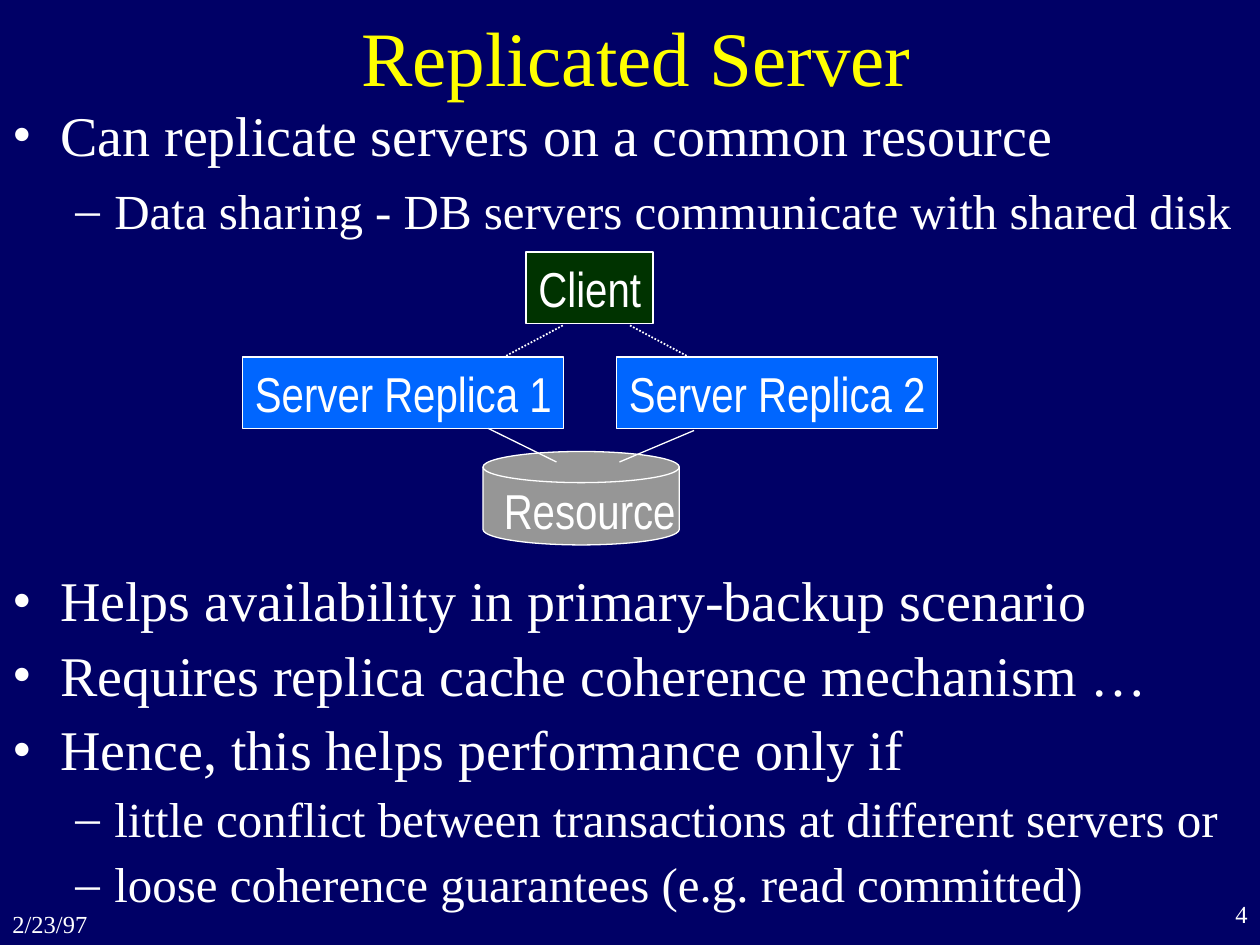
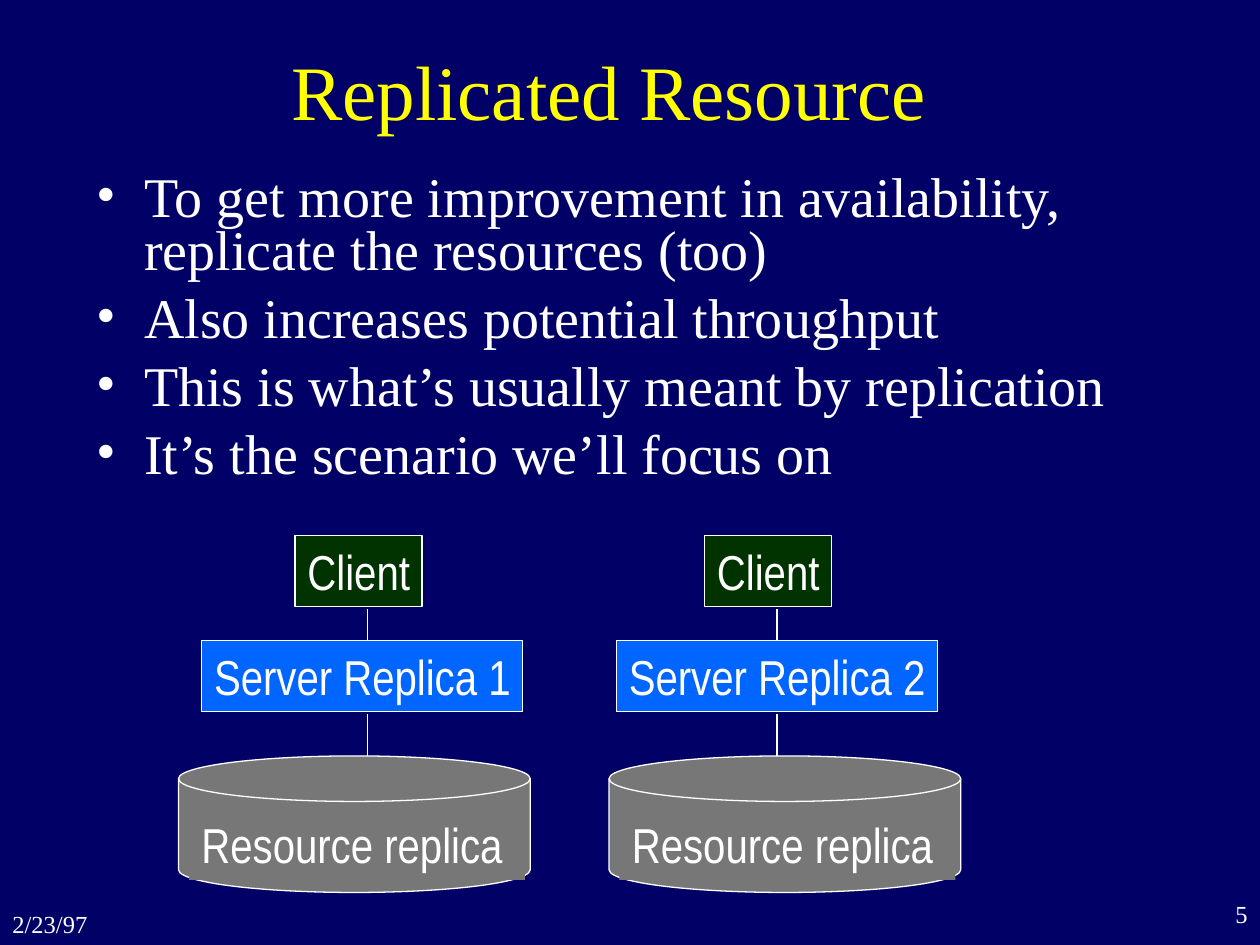
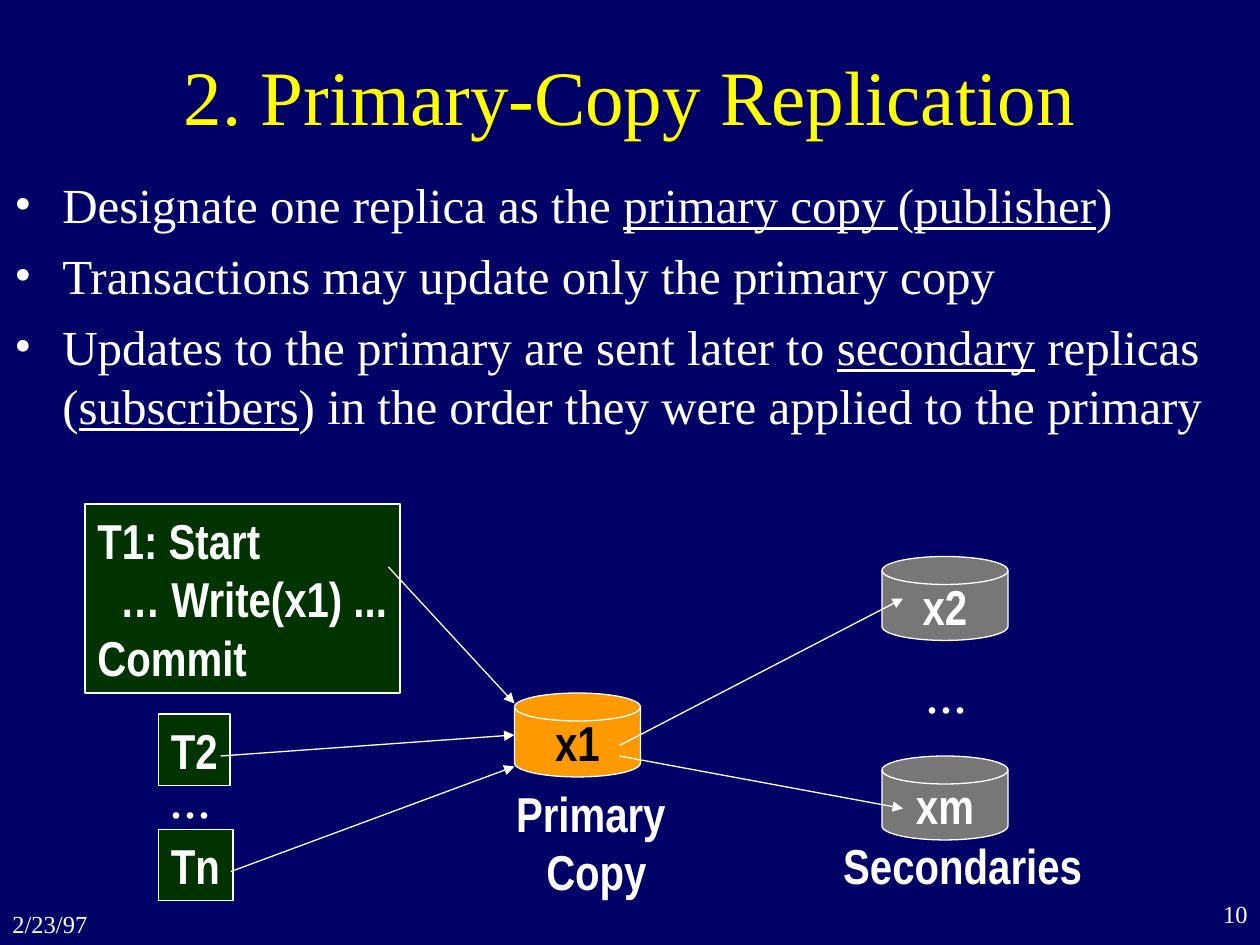
from dataclasses import dataclass
from typing import NamedTuple

from lxml import etree
from pptx import Presentation
from pptx import util as u
from pptx.dml.color import RGBColor
from pptx.enum import dml, shapes, text
from pptx.oxml.ns import qn

# Shared look: a grid of 120 columns by 90 rows
WIDE, HIGH = u.Inches(10), u.Inches(7.5)
COLS, ROWS = 120, 90
HUES = {"navy": "000066", "white": "FFFFFF", "yellow": "FFFF00", "green": "003300",
        "blue": "0066FF", "silver": "969696", "gray": "777777", "orange": "FF9900",
        "black": "000000"}
SERIF, SANS = "Times New Roman", "Arial Narrow"
LEFT, MID, RIGHT = text.PP_ALIGN.LEFT, text.PP_ALIGN.CENTER, text.PP_ALIGN.RIGHT
RECT = shapes.MSO_SHAPE.RECTANGLE
DISK = shapes.MSO_SHAPE.FLOWCHART_MAGNETIC_DISK
LINE_H = 6.8  # rows of a one-line box


class Area(NamedTuple):
    col: float
    row: float
    wide: float
    high: float = LINE_H


class Para(NamedTuple):
    words: str  # underlined parts stand between underscores
    size: float = 28
    left: float = 0
    hang: float = 0
    mark: str = ""
    before: float = 0


@dataclass
class Node:
    area: Area
    words: str = ""
    fill: str = "green"
    form: int = RECT
    edge: bool = True
    bold: bool = False
    ink: str = "white"


@dataclass
class Link:
    start: tuple[float, float]
    end: tuple[float, float]
    dots: bool = False
    arrow: bool = False


def x(col: float) -> int:
    return round(WIDE * col / COLS)


def y(row: float) -> int:
    return round(HIGH * row / ROWS)


def place(area: Area) -> tuple[int, int, int, int]:
    return x(area.col), y(area.row), x(area.wide), y(area.high)


def hue(name: str) -> RGBColor:
    return RGBColor.from_string(HUES[name])


def top(words: str, size: float = 32) -> Para:
    return Para(words, size, 0.38, -0.38, "•", size / 4)


def sub(words: str) -> Para:
    return Para(words, 28, 0.81, -0.31, "–", 7)


# Text
def write(frame, paras: list, *, size=28, font=SANS, ink="white", bold=False, align=LEFT,
          anchor=text.MSO_ANCHOR.TOP, space=None, wrap=True, tight=False) -> None:
    frame.word_wrap = wrap
    frame.auto_size = text.MSO_AUTO_SIZE.NONE
    frame.vertical_anchor = anchor
    if tight:  # leaves spare room so that labels stay on one line
        frame.margin_right = 0
    for i, item in enumerate(paras):
        para = item if isinstance(item, Para) else Para(item, size)
        p = frame.add_paragraph() if i else frame.paragraphs[0]
        p.alignment, p.space_before = align, u.Pt(para.before)
        if space:
            p.line_spacing = space
        indent(p, para, font)
        for j, part in enumerate(para.words.split("_")):
            if not part:
                continue
            run = p.add_run()
            run.text = part
            run.font.name, run.font.size = font, u.Pt(para.size)
            run.font.bold, run.font.underline = bold, j % 2 == 1
            run.font.color.rgb = hue(ink)


def indent(p, para: Para, font: str) -> None:
    if not para.left:
        return
    props = p._p.get_or_add_pPr()
    props.set("marL", str(u.Inches(para.left)))
    props.set("indent", str(u.Inches(para.hang)))
    if para.mark:
        tint = etree.SubElement(props, qn("a:buClr"))
        etree.SubElement(tint, qn("a:srgbClr"), val=HUES["white"])
        etree.SubElement(props, qn("a:buFont"), typeface=font)
        etree.SubElement(props, qn("a:buChar"), char=para.mark)


def label(slide, area: Area, *paras, **form) -> None:
    write(slide.shapes.add_textbox(*place(area)).text_frame, paras, **form)


def tag(slide, area: Area, *paras, **form) -> None:
    label(slide, area, *paras, tight=True, **form)


def note(slide, area: Area, *paras) -> None:
    label(slide, area, *paras, bold=True, align=MID, wrap=False)


# Diagram parts
def draw(slide, node: Node) -> None:
    shape = slide.shapes.add_shape(node.form, *place(node.area))
    shape.shadow.inherit = False
    shape.fill.solid()
    shape.fill.fore_color.rgb = hue(node.fill)
    if node.edge:
        shape.line.color.rgb, shape.line.width = hue("white"), u.Pt(0.75)
    else:
        shape.line.fill.background()
    if node.words:
        disk = node.form == DISK
        write(shape.text_frame, [node.words], ink=node.ink, bold=node.bold,
              align=MID if disk else LEFT, wrap=not disk, tight=not disk,
              anchor=text.MSO_ANCHOR.MIDDLE if disk else text.MSO_ANCHOR.TOP)


def join(slide, link: Link) -> None:
    (a, b), (c, d) = link.start, link.end
    line = slide.shapes.add_connector(shapes.MSO_CONNECTOR.STRAIGHT, x(a), y(b), x(c), y(d))
    line.line.color.rgb = hue("white")
    line.line.width = u.Pt(1 if link.dots else 0.75)
    if link.dots:
        line.line.dash_style = dml.MSO_LINE.ROUND_DOT
    props = line._element.spPr
    if link.arrow:
        etree.SubElement(props.find(qn("a:ln")), qn("a:tailEnd"), type="triangle")
    etree.SubElement(props, qn("a:effectLst"))


def client(col: float, row: float) -> Node:
    return Node(Area(col, row, 12.1), "Client")


def server(col: float, row: float, num: int) -> Node:
    return Node(Area(col, row, 30.6), f"Server Replica {num}", "blue")


def start(deck, title: str, area: Area, num: int):
    slide = deck.slides.add_slide(deck.slide_layouts[6])
    label(slide, area, title, size=44, font=SERIF, ink="yellow", align=MID,
          anchor=text.MSO_ANCHOR.MIDDLE)
    label(slide, Area(111, 85, 9, 5), str(num), size=14, font=SERIF, align=RIGHT)
    label(slide, Area(0, 86, 13, 4), "2/23/97", size=14, font=SERIF)
    return slide


# Slides
def shared(deck) -> None:
    slide = start(deck, "Replicated Server", Area(9.6, 1.3, 102, 8), 4)
    label(slide, Area(0, 9, 120, 16),
          top("Can replicate servers on a common resource"),
          sub("Data sharing - DB servers communicate with shared disk"), font=SERIF)
    draw(slide, Node(Area(46, 43, 18.7, 8.9), fill="silver", form=DISK))
    tag(slide, Area(46.8, 45.2, 18.7), "Resource")
    for node in (server(23.1, 34, 1), server(58.7, 34, 2), client(50.1, 24)):
        draw(slide, node)
    for link in (Link((46.5, 40.8), (53, 44)), Link((66.1, 41), (59, 44)),
                 Link((60, 31), (65.6, 34), dots=True),
                 Link((53.6, 31), (48, 34), dots=True)):
        join(slide, link)
    label(slide, Area(0, 54, 120, 34),
          top("Helps availability in primary-backup scenario"),
          top("Requires replica cache coherence mechanism …"),
          top("Hence, this helps performance only if"),
          sub("little conflict between transactions at different servers or"),
          sub("loose coherence guarantees (e.g. read committed)"), font=SERIF, space=0.9)


def copied(deck) -> None:
    slide = start(deck, "Replicated Resource", Area(7, 4, 102, 9), 5)
    label(slide, Area(8, 16, 101, 32),
          top("To get more improvement in availability, replicate the resources (too)"),
          top("Also increases potential throughput"),
          top("This is what’s usually meant by replication"),
          top("It’s the scenario we’ll focus on"), font=SERIF, space=0.8)
    for num, (axis, box, disk) in enumerate([(35, 19.2, 17), (74, 58.7, 58)], 1):
        draw(slide, Node(Area(disk, 72, 33.5, 13), fill="gray", form=DISK))
        draw(slide, Node(Area(disk + 1, 77, 32), "Resource replica", "gray", edge=False))
        draw(slide, server(box, 61, num))
        draw(slide, client(axis - 6.9, 51))
        join(slide, Link((axis, 68), (axis, 72)))
        join(slide, Link((axis, 61), (axis, 58)))


def primary(deck) -> None:
    slide = start(deck, "2. Primary-Copy Replication", Area(0, 3, 120, 12), 10)
    label(slide, Area(0.2, 16, 119.8, 27.6),
          top("Designate one replica as the _primary copy _(_publisher_)", 28),
          top("Transactions may update only the primary copy", 28),
          top("Updates to the primary are sent later to _secondary_ replicas "
              "(_subscribers_) in the order they were applied to the primary", 28),
          font=SERIF)
    # Transactions
    area = Area(8.1, 48, 30, 18)
    draw(slide, Node(area))
    tag(slide, area, "T1: Start", Para("… Write(x1) ...", left=0.18), "Commit", bold=True)
    draw(slide, Node(Area(15.1, 68, 6.8), "T2", bold=True))
    draw(slide, Node(Area(15.1, 79, 7.1), "Tn", bold=True))
    # Primary and secondary copies
    for col, row, name, fill, ink in ((49, 66, "x1", "orange", "black"),
                                      (84, 53, "x2", "gray", "white"),
                                      (84, 72, "xm", "gray", "white")):
        draw(slide, Node(Area(col, row, 12, 8), name, fill, DISK, bold=True, ink=ink))
    for col, row in ((15, 72), (87, 62)):
        tag(slide, Area(col, row, 6.4, 7.7), "...", size=32, font=SERIF)
    note(slide, Area(48, 74, 17.6, 12.5), "Primary ", "Copy")
    note(slide, Area(79.1, 79, 26.2), "Secondaries ")
    # Flow of updates
    for begin, end in (((37, 54), (49, 67)), ((21, 72), (49, 70)), ((22, 83), (49, 73)),
                       ((59, 71), (86, 57)), ((59, 72), (86, 77))):
        join(slide, Link(begin, end, arrow=True))


def main() -> None:
    deck = Presentation()
    deck.slide_width, deck.slide_height = WIDE, HIGH
    back = deck.slide_master.background.fill
    back.solid()
    back.fore_color.rgb = hue("navy")
    for build in (shared, copied, primary):
        build(deck)
    deck.save("out.pptx")


if __name__ == "__main__":
    main()
